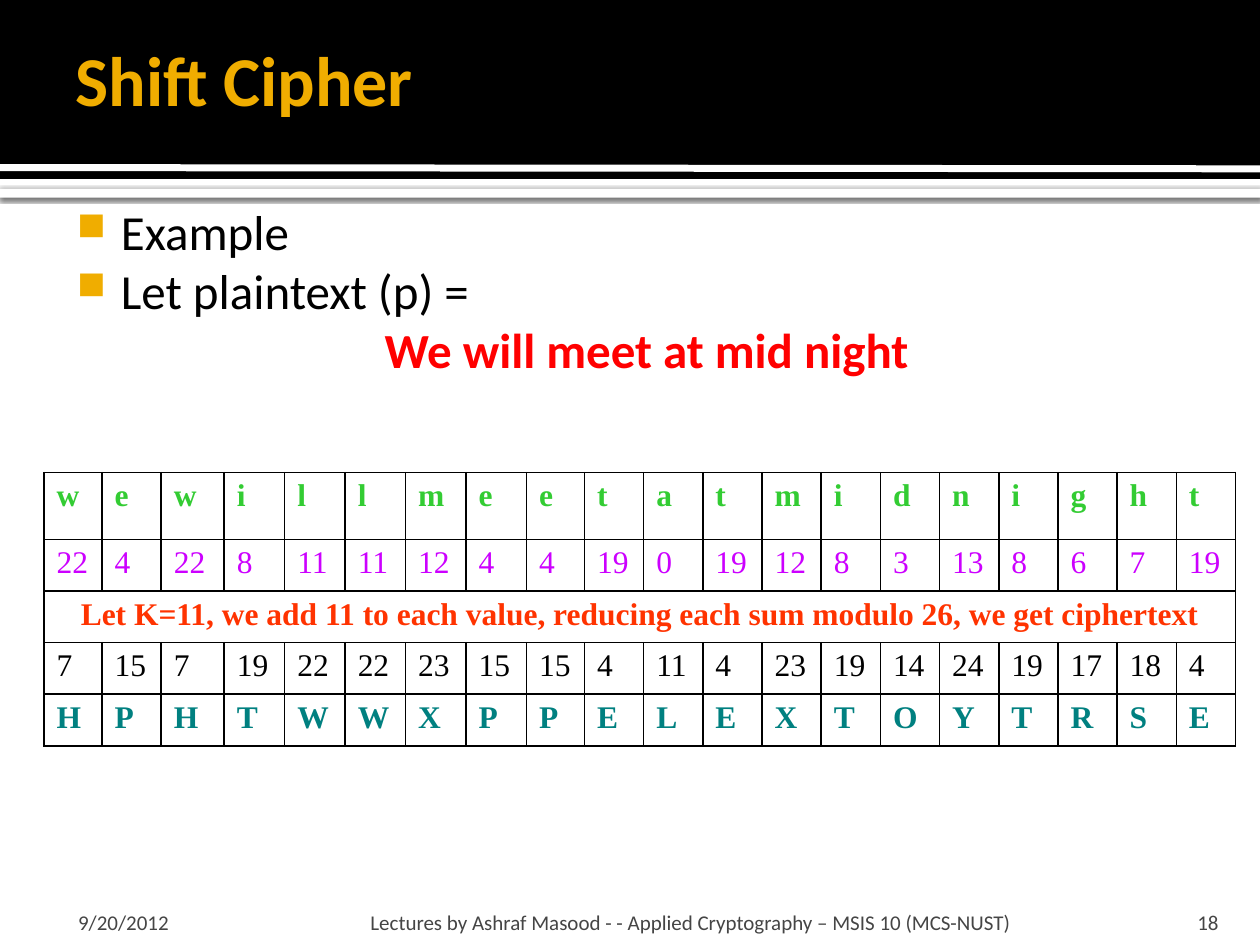
from lxml.etree import SubElement
from pptx import Presentation
from pptx.dml.color import RGBColor
from pptx.enum.shapes import MSO_CONNECTOR as CONN, MSO_SHAPE as SHAPE
from pptx.enum.text import MSO_ANCHOR as ANCHOR, PP_ALIGN as ALIGN
from pptx.oxml.ns import qn
from pptx.util import Inches, Pt

GOLD, GRAY, BLACK, WHITE = "F0AD00", "454545", "000000", "FFFFFF"
PLAINTEXT = "We will meet at mid night"
KEY = 11


def rgb(value):
    return RGBColor.from_string(value)


def add_node(parent, tag, **attrs):
    return SubElement(parent, qn(tag), {k: str(v) for k, v in attrs.items()})


def write(p, text, size=12, color=BLACK, bold=False, font="Calibri", align=ALIGN.LEFT):
    p.alignment = align
    r = p.add_run()
    r.text = text
    f = r.font
    f.size, f.bold, f.name = Pt(size), bold, font
    f.color.rgb = rgb(color)


def set_frame(tf, margins, anchor):
    tf.word_wrap = True
    tf.vertical_anchor = anchor
    tf.margin_left, tf.margin_top, tf.margin_right, tf.margin_bottom = map(Inches, margins)


class SlideBuilder:
    """Holds the presentation, its current slide and the shared style."""

    def __init__(self, width, height):
        self.prs = Presentation()
        self.prs.slide_width, self.prs.slide_height = Inches(width), Inches(height)
        self.s = self.prs.slides.add_slide(self.prs.slide_layouts[5])

    def bar(self, box, color, shadow=False):
        sp = self.s.shapes.add_shape(SHAPE.RECTANGLE, *map(Inches, box))
        sp.shadow.inherit = False
        sp.fill.solid()
        sp.fill.fore_color.rgb = rgb(color)
        sp.line.fill.background()
        if shadow:
            effects = sp._element.spPr.find(qn("a:effectLst"))
            outer = add_node(effects, "a:outerShdw", blurRad=Pt(2.5), dist=Pt(0.8),
                             dir=5400000, algn="tl", rotWithShape=0)
            add_node(add_node(outer, "a:srgbClr", val=BLACK), "a:alpha", val=60000)

    def line(self, ends, color, width):
        cx = self.s.shapes.add_connector(CONN.STRAIGHT, *map(Inches, ends))
        cx.line.color.rgb = rgb(color)
        cx.line.width = Pt(width)
        add_node(cx._element.spPr, "a:effectLst")

    def title(self, text, box):
        sp = self.s.shapes.title
        sp.left, sp.top, sp.width, sp.height = map(Inches, box)
        set_frame(sp.text_frame, (0.1, 0.05, 0.05, 0.05), ANCHOR.MIDDLE)
        write(sp.text_frame.paragraphs[0], text, size=40, color=GOLD, bold=True)
        self.s.shapes._spTree.append(sp._element)

    def text(self, box, margins, anchor):
        tf = self.s.shapes.add_textbox(*map(Inches, box)).text_frame
        set_frame(tf, margins, anchor)
        return tf

    def body(self, box, bullets, phrase):
        tf = self.text(box, (0.06, 0.1, 0.1, 0.05), ANCHOR.TOP)
        for i, text in enumerate([*bullets, phrase]):
            p = tf.add_paragraph() if i else tf.paragraphs[0]
            pPr = p._p.get_or_add_pPr()
            pPr.set("marL", str(Inches(0.48)))
            pPr.set("indent", str(Inches(-0.35)))
            if text == phrase:
                add_node(pPr, "a:buNone")
                write(p, text, size=28, color="FF0000", bold=True, align=ALIGN.CENTER)
            else:
                add_node(add_node(pPr, "a:buClr"), "a:srgbClr", val=GOLD)
                add_node(pPr, "a:buSzPct", val=80000)
                add_node(pPr, "a:buChar", char="■")
                write(p, text, size=28)

    def footer(self, text, left, width, margins, align=ALIGN.LEFT):
        tf = self.text((left, 7.12, width, 0.3), margins, ANCHOR.BOTTOM)
        write(tf.paragraphs[0], text, color=GRAY, align=align)

    def cell(self, cell):
        tcPr = cell._tc.get_or_add_tcPr()
        for side in "LRTB":
            ln = add_node(tcPr, f"a:ln{side}", w=Pt(1))
            add_node(add_node(ln, "a:solidFill"), "a:srgbClr", val=BLACK)
        cell.fill.background()

    def table(self, box, widths, heights, rows):
        shape = self.s.shapes.add_table(len(rows), len(widths), *map(Inches, box))
        table = shape.table
        table.first_row = table.horz_banding = False
        for col, width in zip(table.columns, widths):
            col.width = Inches(width)
        for row, height in zip(table.rows, heights):
            row.height = Inches(height)
        for c in table.iter_cells():
            self.cell(c)
        for i, (values, color, bold) in enumerate(rows):
            align = ALIGN.LEFT
            if len(values) == 1:
                table.cell(i, 0).merge(table.cell(i, len(widths) - 1))
                align = ALIGN.CENTER
            for j, value in enumerate(values):
                write(table.cell(i, j).text_frame.paragraphs[0], str(value), size=18,
                      color=color, bold=bold, font="Times New Roman", align=align)


def main():
    b = SlideBuilder(10, 7.5)
    b.bar((0, 1.5, 10, 0.07), WHITE, shadow=True)
    b.bar((0, 0, 10, 1.42), BLACK)
    b.line((0, 1.33, 10, 1.34), WHITE, 4)
    b.body((0.42, 1.5, 9.33, 5.58), ["Example", "Let plaintext (p) ="], PLAINTEXT)
    b.footer("9/20/2012", 0.5, 2.33, (0.12, 0.05, 0.05, 0))
    b.footer("18", 8.97, 0.8, (0.1, 0.05, 0.1, 0), ALIGN.RIGHT)
    b.footer("Lectures by Ashraf Masood - - Applied Cryptography – MSIS 10 (MCS-NUST)",
             2.89, 6.02, (0.05, 0.05, 0.05, 0))
    b.title("Shift Cipher", (0.5, 0.08, 8.25, 1.08))

    letters = PLAINTEXT.lower().replace(" ", "")
    codes = [ord(c) - ord("a") for c in letters]
    shifted = [(n + KEY) % 26 for n in codes]
    rule = f"Let K={KEY}, we add {KEY} to each value, reducing each sum modulo 26, we get ciphertext"
    rows = [
        (letters, "33CC33", True),
        (codes, "CC00FF", False),
        ([rule], "FF3300", True),
        (shifted, BLACK, False),
        ([chr(n + ord("A")) for n in shifted], "008080", True),
    ]
    widths = [0.46, 0.47, 0.5] + [0.48] * 5 + [0.46] + [0.47] * 11
    b.table((0.35, 3.75, 9.48, 2.17), widths, [0.53] + [0.41] * 4, rows)
    b.prs.save("out.pptx")


if __name__ == "__main__":
    main()
